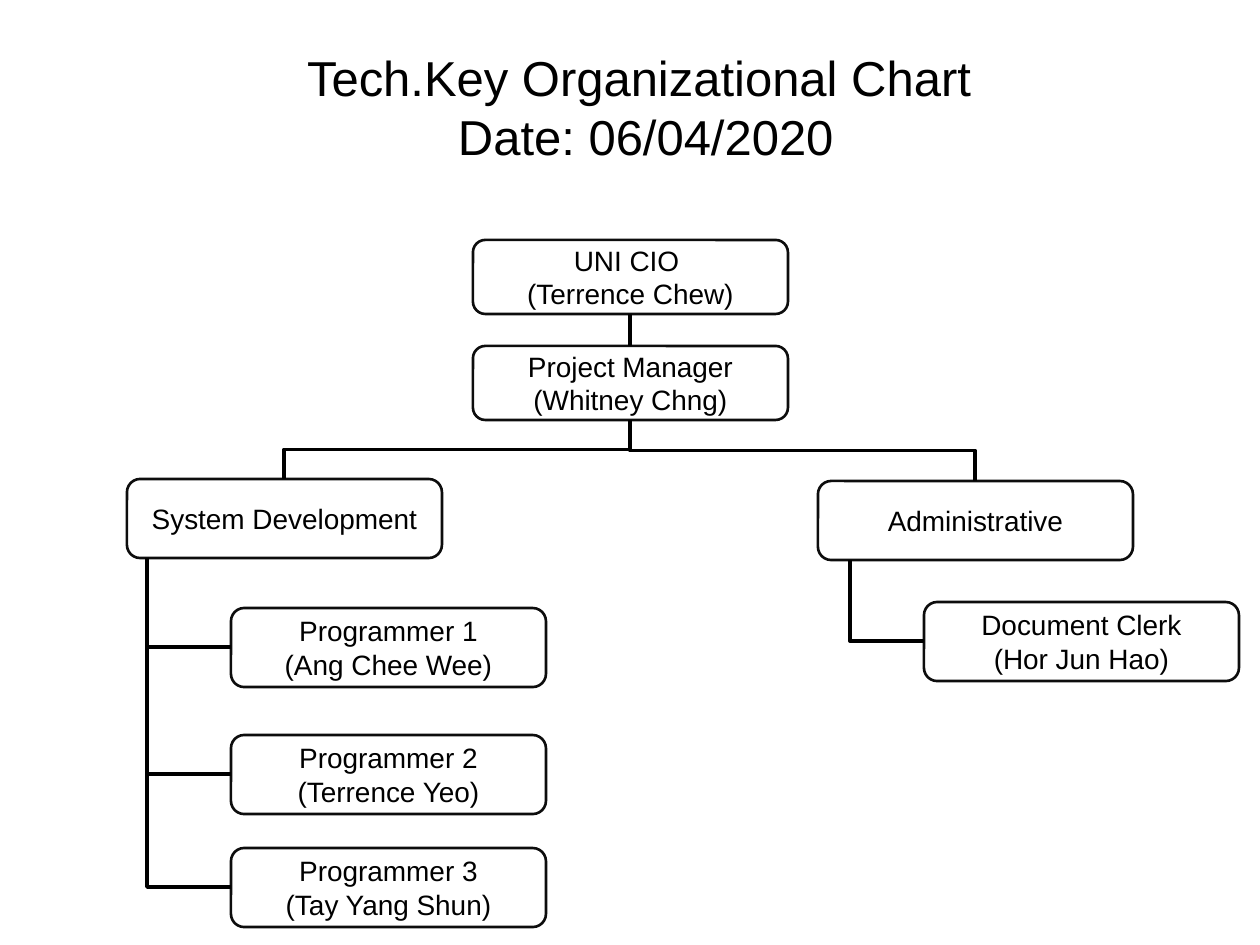
from dataclasses import dataclass
from typing import Any

from lxml.etree import SubElement
from pptx import Presentation
from pptx.dml.color import RGBColor
from pptx.enum.shapes import MSO_CONNECTOR, MSO_SHAPE
from pptx.enum.text import MSO_ANCHOR, PP_ALIGN
from pptx.oxml.ns import qn
from pptx.util import Emu, Pt

PX_PER_INCH = 126


@dataclass(frozen=True)
class Theme:
    font: str = "Arial"
    ink: RGBColor = RGBColor(0, 0, 0)
    border: RGBColor = RGBColor(0x0D, 0x0D, 0x0D)
    paper: RGBColor = RGBColor(255, 255, 255)
    title_size: Pt = Pt(28)
    role_size: Pt = Pt(16)
    border_width: Pt = Pt(1.5)
    link_width: Pt = Pt(2.25)


@dataclass(frozen=True)
class Role:
    lines: tuple[str, ...]
    left: int
    top: int
    height: int = 79
    width: int = 315

    @property
    def center(self) -> int:
        return self.left + self.width // 2

    @property
    def middle(self) -> int:
        return self.top + self.height // 2

    @property
    def bottom(self) -> int:
        return self.top + self.height


THEME = Theme()

# People and departments
CIO = Role(("UNI CIO ", "(Terrence Chew)"), 473, 240, 74)
MANAGER = Role(("Project Manager", "(Whitney Chng)"), 473, 346, 74)
DEVELOPMENT = Role(("System Development",), 127, 479)
ADMINISTRATIVE = Role(("Administrative",), 818, 481)
PROGRAMMERS = [
    Role((f"Programmer {number}", f"({person})"), 231, top)
    for number, (person, top) in enumerate(
        [("Ang Chee Wee", 608), ("Terrence Yeo", 735), ("Tay Yang Shun", 848)], 1
    )
]
CLERK = Role(("Document Clerk", "(Hor Jun Hao)"), 924, 602)
ROLES = [CIO, MANAGER, DEVELOPMENT, ADMINISTRATIVE, *PROGRAMMERS, CLERK]

# Upright lines below the two departments
DEVELOPMENT_TRUNK = 147
ADMINISTRATIVE_TRUNK = 850


def px(length: float) -> Emu:
    return Emu(round(length * 914400 / PX_PER_INCH))


def apply_format(target: Any, values: dict[str, Any]) -> None:
    for name, value in values.items():
        setattr(target, name, value)


def write_lines(frame: Any, lines: tuple[str, ...], size: Pt) -> None:
    apply_format(frame, {"word_wrap": True, "vertical_anchor": MSO_ANCHOR.MIDDLE})
    frame.text = "\n".join(lines)
    for paragraph in frame.paragraphs:
        paragraph.alignment = PP_ALIGN.CENTER
        for run in paragraph.runs:
            apply_format(run.font, {"name": THEME.font, "size": size})
            run.font.color.rgb = THEME.ink


def draw_role(shapes: Any, role: Role) -> None:
    box = shapes.add_shape(
        MSO_SHAPE.ROUNDED_RECTANGLE,
        px(role.left), px(role.top), px(role.width), px(role.height),
    )
    box.shadow.inherit = False
    box.fill.solid()
    box.fill.fore_color.rgb = THEME.paper
    box.line.color.rgb = THEME.border
    box.line.width = THEME.border_width
    write_lines(box.text_frame, role.lines, THEME.role_size)


def draw_link(shapes: Any, start: tuple[int, int], end: tuple[int, int],
              kind: MSO_CONNECTOR = MSO_CONNECTOR.STRAIGHT) -> Any:
    link = shapes.add_connector(kind, *map(px, start + end))
    link.line.color.rgb = THEME.ink
    link.line.width = THEME.link_width
    SubElement(link._element.spPr, qn("a:effectLst"))
    return link


def draw_elbow(shapes: Any, start: tuple[int, int], end: tuple[int, int],
               preset: str) -> None:
    """Draw a bent link that leaves its start downwards."""
    link = draw_link(shapes, start, end, MSO_CONNECTOR.ELBOW)
    (x1, y1), (x2, y2) = start, end
    across, down = abs(x2 - x1), y2 - y1
    # The frame lies on its side around the same centre, then is turned
    apply_format(link, {
        "left": px((x1 + x2 - down) / 2),
        "top": px((y1 + y2 - across) / 2),
        "width": px(down),
        "height": px(across),
    })
    properties = link._element.spPr
    properties.find(qn("a:prstGeom")).set("prst", preset)
    frame = properties.find(qn("a:xfrm"))
    frame.attrib.clear()
    turn = {"rot": "16200000", "flipH": "1"} if x2 > x1 else {"rot": "5400000"}
    for name, value in turn.items():
        frame.set(name, value)


def main() -> None:
    deck = Presentation()
    apply_format(deck, {"slide_width": px(1260), "slide_height": px(945)})
    shapes = deck.slides.add_slide(deck.slide_layouts[6]).shapes

    # Boxes
    for role in ROLES:
        draw_role(shapes, role)

    # Links between the management levels
    draw_link(shapes, (CIO.center, CIO.bottom), (MANAGER.center, MANAGER.top))
    for department in (DEVELOPMENT, ADMINISTRATIVE):
        draw_elbow(shapes, (MANAGER.center, MANAGER.bottom),
                   (department.center, department.top), "bentConnector3")

    # Links from each department to its staff
    *branch_programmers, last_programmer = PROGRAMMERS
    for department, trunk, member in (
        (DEVELOPMENT, DEVELOPMENT_TRUNK, last_programmer),
        (ADMINISTRATIVE, ADMINISTRATIVE_TRUNK, CLERK),
    ):
        draw_elbow(shapes, (trunk, department.bottom),
                   (member.left, member.middle), "bentConnector2")
    for programmer in branch_programmers:
        draw_link(shapes, (programmer.left, programmer.middle),
                  (DEVELOPMENT_TRUNK, programmer.middle))

    # Title
    title = shapes.add_textbox(px(9), px(27), px(1260), px(158))
    write_lines(title.text_frame,
                ("Tech.Key Organizational Chart\v Date: 06/04/2020",),
                THEME.title_size)

    deck.save("out.pptx")


if __name__ == "__main__":
    main()
